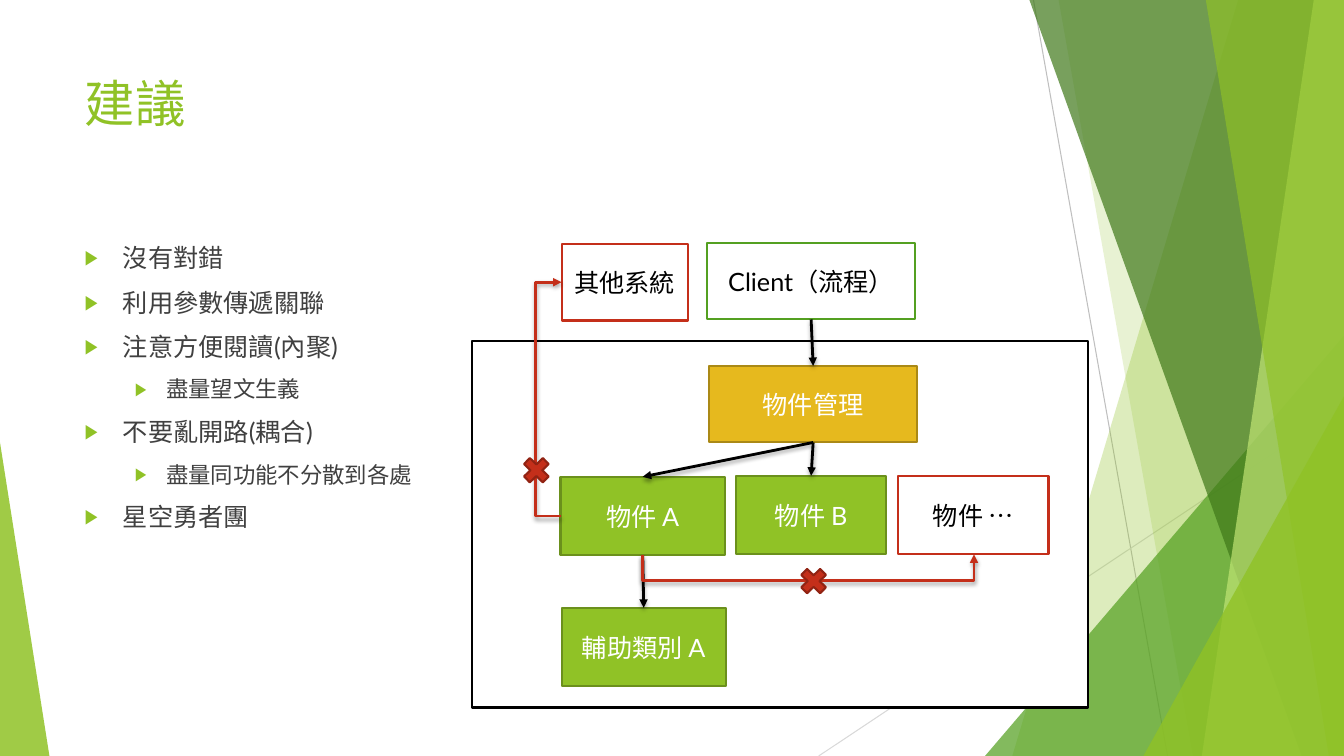
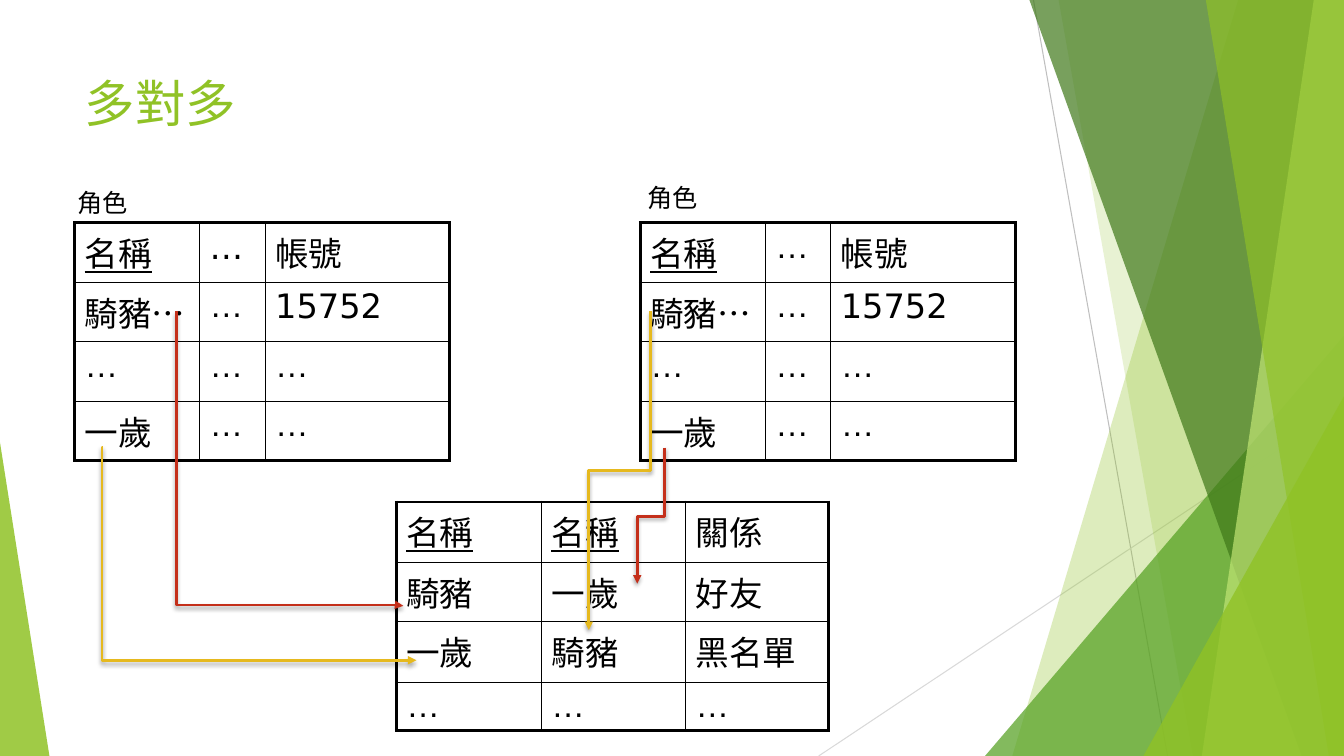
from lxml.etree import SubElement
from pptx import Presentation
from pptx.dml.color import RGBColor
from pptx.enum.shapes import MSO_CONNECTOR, MSO_SHAPE
from pptx.enum.text import MSO_ANCHOR, PP_ALIGN
from pptx.oxml.ns import qn
from pptx.util import Inches, Pt

WHITE = RGBColor(0xFF, 0xFF, 0xFF)
BLACK = RGBColor(0x00, 0x00, 0x00)
GRAPHITE = RGBColor(0x40, 0x40, 0x40)
SILVER = RGBColor(0xBF, 0xBF, 0xBF)
MIST = RGBColor(0xD9, 0xD9, 0xD9)
LIME = RGBColor(0x90, 0xC2, 0x26)
LIME_EDGE = RGBColor(0x6B, 0x90, 0x1C)
PALE_LIME = RGBColor(0xC0, 0xE4, 0x74)
GREEN = RGBColor(0x54, 0xA0, 0x21)
FOREST = RGBColor(0x3F, 0x78, 0x19)
GOLD = RGBColor(0xE6, 0xB9, 0x1E)
GOLD_EDGE = RGBColor(0xAA, 0x89, 0x16)
RED = RGBColor(0xC4, 0x2F, 0x1A)
RED_EDGE = RGBColor(0x91, 0x23, 0x13)

WIDTH, HEIGHT = 13.33, 7.5
TOP, BOTTOM = 0, 2
DOTS = "…"


class SlideMaker:
    text_font = "Lato"
    table_font = "DejaVu Sans"
    dots_font = "Arial"

    def __init__(self):
        self.deck = Presentation()
        self.deck.slide_width = Inches(WIDTH)
        self.deck.slide_height = Inches(HEIGHT)
        self.layout = self.deck.slide_layouts[5]
        self.slide = None

    def start(self, title):
        first = self.slide is None
        self.slide = self.deck.slides.add_slide(self.layout)
        if first:
            self.backdrop()
        holder = self.slide.shapes.title
        holder.left, holder.top = Inches(0.74), Inches(0.67)
        holder.width, holder.height = Inches(9.4), Inches(1.44)
        holder.text_frame.vertical_anchor = MSO_ANCHOR.TOP
        para = holder.text_frame.paragraphs[0]
        para.alignment = PP_ALIGN.LEFT
        self.span(para, title, 36, LIME)

    def backdrop(self):
        parts = [
            self.line((10.25, 0), (11.58, HEIGHT), SILVER, 0.75),
            self.line((WIDTH, 4.03), (8.12, HEIGHT), MIST, 0.75),
            self.band(12.28, 10.04, LIME, 30),
            self.band(10.5, 11.83, LIME, 20),
            self.triangle(9.77, 3.33, 3.56, 1, GREEN, 72),
            self.band(10.21, 12.91, FOREST, 70),
            self.band(13.03, 11.92, PALE_LIME, 70),
            self.band(11.96, 13.18, LIME, 65),
            self.triangle(11.34, 3.93, 1.99, 1, LIME, 80),
            self.triangle(0, 4.39, 0.49, 0, LIME, 85),
        ]
        for part in parts:
            self.layout.shapes.element.append(part.element)

    def band(self, top_x, bottom_x, color, opacity):
        corners = [(WIDTH, 0), (WIDTH, HEIGHT), (bottom_x, HEIGHT)]
        builder = self.slide.shapes.build_freeform(Inches(top_x), 0)
        builder.add_line_segments([(Inches(x), Inches(y)) for x, y in corners])
        return self.glass(builder.convert_to_shape(), color, opacity)

    def triangle(self, x, y, width, peak, color, opacity):
        shape = self.slide.shapes.add_shape(
            MSO_SHAPE.ISOSCELES_TRIANGLE,
            Inches(x), Inches(y), Inches(width), Inches(HEIGHT - y))
        shape.adjustments[0] = peak
        return self.glass(shape, color, opacity)

    def glass(self, shape, color, opacity):
        shape.shadow.inherit = False
        shape.line.fill.background()
        shape.fill.solid()
        shape.fill.fore_color.rgb = color
        tint = shape.element.spPr.find(qn("a:solidFill"))[0]
        SubElement(tint, qn("a:alpha"), val=str(opacity * 1000))
        return shape

    def span(self, para, text, size, color, font=None, underline=None):
        span = para.add_run()
        span.text = text
        span.font.name = font or self.text_font
        span.font.size = Pt(size)
        span.font.color.rgb = color
        span.font.underline = underline

    def box(self, x, y, width, height, fill, edge, text="", color=WHITE,
            kind=MSO_SHAPE.RECTANGLE):
        box = self.slide.shapes.add_shape(
            kind, Inches(x), Inches(y), Inches(width), Inches(height))
        box.shadow.inherit = False
        box.fill.solid()
        box.fill.fore_color.rgb = fill
        box.line.color.rgb = edge
        box.line.width = Pt(1.5)
        if text:
            box.text_frame.vertical_anchor = MSO_ANCHOR.MIDDLE
            para = box.text_frame.paragraphs[0]
            para.alignment = PP_ALIGN.CENTER
            self.span(para, text, 18, color)
        return box

    def cross(self, x, y):
        self.box(x, y, 0.36, 0.35, RED, RED_EDGE, kind=MSO_SHAPE.MATH_MULTIPLY)

    def label(self, x, y, text):
        box = self.slide.shapes.add_textbox(
            Inches(x), Inches(y), Inches(0.7), Inches(0.4))
        box.text_frame.word_wrap = False
        para = box.text_frame.paragraphs[0]
        para.alignment = PP_ALIGN.CENTER
        self.span(para, text, 18, BLACK, self.table_font)

    def bullets(self, items):
        box = self.slide.shapes.add_textbox(
            Inches(0.74), Inches(2.36), Inches(9.4), Inches(4.24))
        frame = box.text_frame
        frame.word_wrap = True
        for index, (level, text) in enumerate(items):
            para = frame.add_paragraph() if index else frame.paragraphs[0]
            para.level = level
            margin, indent = ((0.38, -0.38), (0.81, -0.31))[level]
            props = para._p.get_or_add_pPr()
            props.set("marL", str(Inches(margin)))
            props.set("indent", str(Inches(indent)))
            if index:
                para.space_before = Pt(10)
            tint = SubElement(props, qn("a:buClr"))
            SubElement(tint, qn("a:srgbClr"), val=str(LIME))
            SubElement(props, qn("a:buSzPct"), val="80000")
            SubElement(props, qn("a:buFont"), typeface=self.dots_font)
            SubElement(props, qn("a:buChar"), char="▶")
            self.span(para, text, 18 - 2 * level, GRAPHITE)

    def line(self, start, end, color, width, kind=MSO_CONNECTOR.STRAIGHT):
        line = self.slide.shapes.add_connector(
            kind, *[Inches(value) for value in (*start, *end)])
        line.line.color.rgb = color
        line.line.width = Pt(width)
        SubElement(line.element.spPr, qn("a:effectLst"))
        return line

    def arrow(self, start, end, color, kind=MSO_CONNECTOR.STRAIGHT):
        arrow = self.line(start, end, color, 2, kind)
        props = arrow.element.spPr
        SubElement(props.find(qn("a:ln")), qn("a:tailEnd"), type="triangle")
        shadow = SubElement(
            props.find(qn("a:effectLst")), qn("a:outerShdw"),
            blurRad=str(Pt(3)), dist=str(Pt(2)), dir="5400000", rotWithShape="0")
        tint = SubElement(shadow, qn("a:srgbClr"), val=str(BLACK))
        SubElement(tint, qn("a:alpha"), val="35000")
        return arrow

    def join(self, source, target):
        arrow = self.arrow((0, 0), (1, 1), BLACK)
        arrow.begin_connect(source, BOTTOM)
        arrow.end_connect(target, TOP)

    def elbow(self, start, end, turn, color, upright=True):
        (x1, y1), (x2, y2) = start, end
        across, down = x2 - x1, y2 - y1
        if upright:
            run, rise, origin = down, -across, y1
        else:
            run, rise, origin = across, down, x1
        middle_x, middle_y = (x1 + x2) / 2, (y1 + y2) / 2
        half_w, half_h = abs(run) / 2, abs(rise) / 2
        arrow = self.arrow((middle_x - half_w, middle_y - half_h),
                           (middle_x + half_w, middle_y + half_h),
                           color, MSO_CONNECTOR.ELBOW)
        props = arrow.element.spPr
        frame = props.find(qn("a:xfrm"))
        if upright:
            frame.set("rot", "5400000")
        if run < 0:
            frame.set("flipH", "1")
        if rise < 0:
            frame.set("flipV", "1")
        share = round((turn - origin) / run * 100000)
        guides = props.find(qn("a:prstGeom")).find(qn("a:avLst"))
        SubElement(guides, qn("a:gd"), name="adj1", fmla=f"val {share}")

    def table(self, x, y, widths, heights, rows, keys, header_dots=None):
        graphic = self.slide.shapes.add_table(
            len(heights), len(widths), Inches(x), Inches(y),
            Inches(sum(widths)), Inches(sum(heights)))
        table = graphic.table
        table.first_row = table.horz_banding = False
        for column, width in zip(table.columns, widths):
            column.width = Inches(width)
        for row, height in zip(table.rows, heights):
            row.height = Inches(height)
        last_row, last_column = len(heights) - 1, len(widths) - 1
        for r, texts in enumerate(rows):
            for c, text in enumerate(texts):
                cell = table.cell(r, c)
                para = cell.text_frame.paragraphs[0]
                words = text.removesuffix(DOTS)
                if words:
                    self.span(para, words, 24, BLACK, self.table_font,
                              True if r == 0 and c < keys else None)
                if text.endswith(DOTS):
                    font = header_dots if r == 0 else None
                    self.span(para, DOTS, 24, BLACK, font or self.dots_font)
                self.borders(cell, {"L": c == 0, "R": c == last_column,
                                    "T": r == 0, "B": r == last_row})
                cell.fill.background()

    def borders(self, cell, outer):
        props = cell._tc.get_or_add_tcPr()
        for side, thick in outer.items():
            edge = SubElement(props, qn(f"a:ln{side}"),
                              w=str(Pt(2.25 if thick else 1)))
            fill = SubElement(edge, qn("a:solidFill"))
            SubElement(fill, qn("a:srgbClr"), val=str(BLACK))


def advice(maker):
    maker.start("建議")
    maker.box(4.68, 3.38, 6.11, 3.64, WHITE, BLACK)
    maker.bullets([
        (0, "沒有對錯"),
        (0, "利用參數傳遞關聯"),
        (0, "注意方便閱讀(內聚)"),
        (1, "盡量望文生義"),
        (0, "不要亂開路(耦合)"),
        (1, "盡量同功能不分散到各處"),
        (0, "星空勇者團"),
    ])
    client = maker.box(7.01, 2.41, 2.07, 0.76, WHITE, GREEN, "Client（流程）", BLACK)
    manager = maker.box(7.03, 3.63, 2.07, 0.76, GOLD, GOLD_EDGE, "物件管理")
    object_a = maker.box(5.56, 4.73, 1.63, 0.78, LIME, LIME_EDGE, "物件 A")
    object_b = maker.box(7.3, 4.72, 1.49, 0.78, LIME, LIME_EDGE, "物件 B")
    maker.box(8.91, 4.72, 1.49, 0.78, WHITE, RED, "物件 …", BLACK)
    helper = maker.box(5.57, 6.03, 1.63, 0.78, LIME, LIME_EDGE, "輔助類別 A")
    maker.box(5.57, 2.42, 1.25, 0.76, WHITE, RED, "其他系統", BLACK)
    for source, target in [(client, manager), (manager, object_a),
                           (manager, object_b), (object_a, helper)]:
        maker.join(source, target)
    maker.elbow((5.56, 5.12), (5.57, 2.8), 5.31, RED, upright=False)
    maker.elbow((6.37, 5.51), (9.66, 5.5), 5.76, RED)
    maker.cross(5.14, 4.49)
    maker.cross(7.89, 5.59)


def many_to_many(maker):
    maker.start("多對多")
    roles = [("名稱", DOTS, "帳號"), ("騎豬…", DOTS, "15752"),
             (DOTS, DOTS, DOTS), ("一歲", DOTS, DOTS)]
    links = [("名稱", "名稱", "關係"), ("騎豬", "一歲", "好友"),
             ("一歲", "騎豬", "黑名單"), (DOTS, DOTS, DOTS)]
    for x, header_dots in [(0.74, maker.table_font), (6.35, None)]:
        maker.table(x, 2.21, (1.24, 0.65, 1.83), [0.59] * 4, roles, 1, header_dots)
    maker.table(3.93, 4.98, (1.44, 1.43, 1.42), (0.6, 0.59, 0.6, 0.48), links, 2)
    maker.label(0.67, 1.81, "角色")
    maker.label(6.32, 1.76, "角色")
    maker.elbow((1.75, 3.09), (4, 6.01), 6, RED)
    maker.elbow((6.59, 4.44), (6.32, 5.79), 5.12, RED)
    maker.elbow((1.02, 4.44), (4.13, 6.55), 1.01, GOLD, upright=False)
    maker.elbow((6.45, 3.09), (5.84, 6.25), 4.67, GOLD)


def main():
    maker = SlideMaker()
    advice(maker)
    many_to_many(maker)
    maker.deck.save("out.pptx")


if __name__ == "__main__":
    main()
